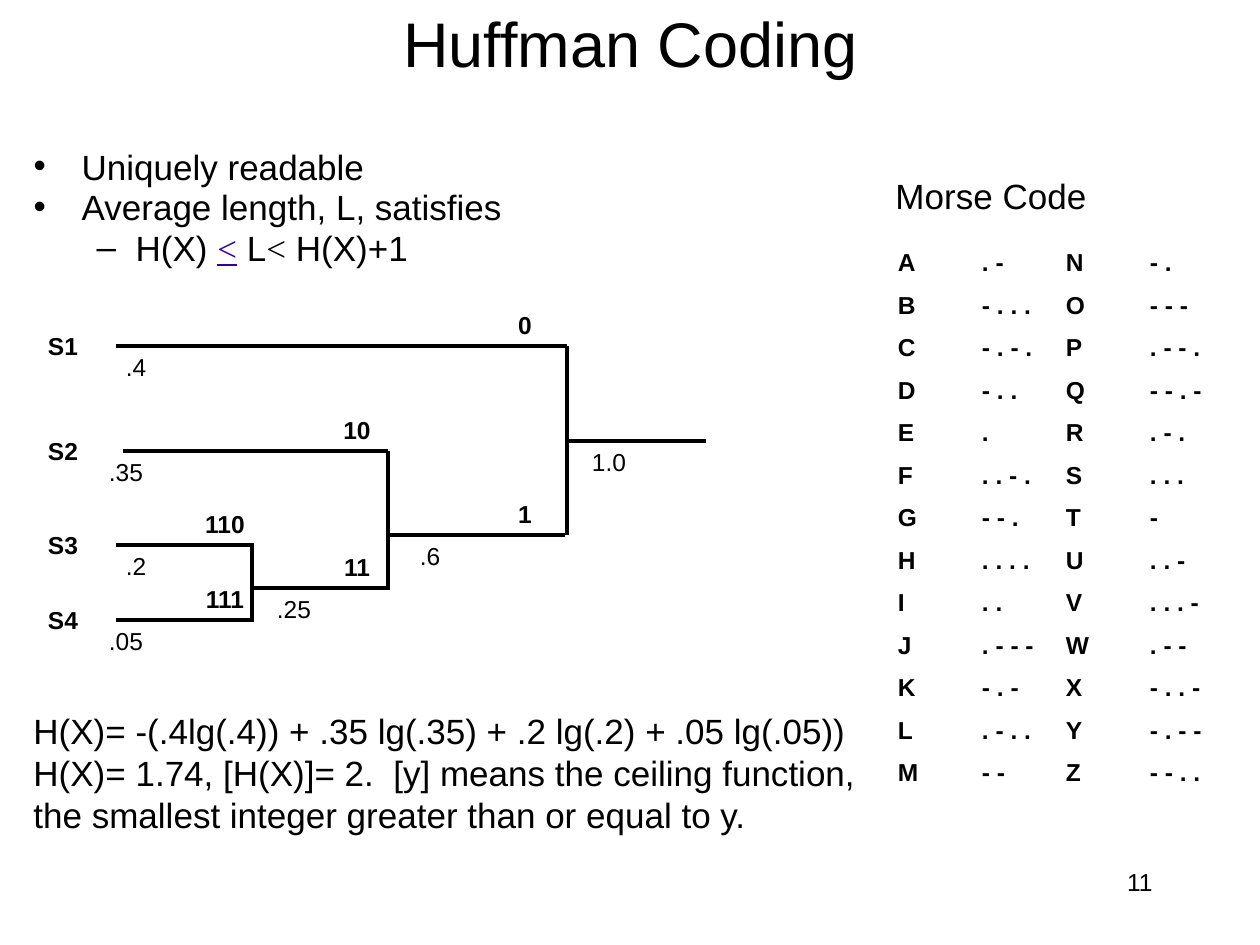
import pptx
import pptx.util
import pptx.dml.color
import pptx.enum.text
import pptx.enum.shapes
import pptx.oxml.ns
import lxml.etree

TITLE = "Huffman Coding"
ENTROPY = [
    "H(X)= -(.4lg(.4)) + .35 lg(.35) + .2 lg(.2) + .05 lg(.05))",
    "H(X)= 1.74, [H(X)]= 2.  [y] means the ceiling function, "
    "the smallest integer greater than or equal to y.",
]
POINTS = [
    (0, ["Uniquely readable"]),
    (0, ["Average length, L, satisfies"]),
    (1, ["H(X) ", ("<", {"face": "Times New Roman", "color": "link", "underline": True}),
         " L", ("<", {"face": "Times New Roman"}), " H(X)+1"]),
]
BULLETS = [("•", 48, -48), ("–", 102, -39)]
MORSE = [
    ("A", ". -"), ("B", "- . . ."), ("C", "- . - ."), ("D", "- . ."), ("E", "."),
    ("F", ". . - ."), ("G", "- - ."), ("H", ". . . ."), ("I", ". ."), ("J", ". - - -"),
    ("K", "- . -"), ("L", ". - . ."), ("M", "- -"), ("N", "- ."), ("O", "- - -"),
    ("P", ". - - ."), ("Q", "- - . -"), ("R", ". - ."), ("S", ". . ."), ("T", "-"),
    ("U", ". . -"), ("V", ". . . -"), ("W", ". - -"), ("X", "- . . -"),
    ("Y", "- . - -"), ("Z", "- - . ."),
]
SOURCES = [("S1", 346), ("S2", 451), ("S3", 545), ("S4", 620)]
BRANCHES = [
    (116, 567, 346), (123, 388, 451), (116, 254, 545), (116, 254, 620),
    (252, 390, 588), (388, 565, 535), (567, 706, 441),
]
JOINS = [(252, 545, 620), (388, 451, 589), (567, 346, 535)]
CODES = [("0", 525, 346), ("10", 357, 451), ("110", 225, 545), ("111", 225, 620),
         ("11", 357, 588), ("1", 525, 535)]
PROBABILITIES = [(".4", 136, 346), (".35", 126, 451), (".2", 136, 545), (".05", 126, 620),
                 (".25", 294, 588), (".6", 430, 535), ("1.0", 609, 441)]
COLORS = {"ink": "000000", "link": "330099"}
ALIGN = pptx.enum.text.PP_ALIGN
ANCHOR = pptx.enum.text.MSO_ANCHOR


def px(count):
    return round(count * 914400 / 126)


def rgb(name):
    return pptx.dml.color.RGBColor.from_string(COLORS[name])


def write(paragraph, text, size=14, face="Arial", color="ink", bold=False,
          underline=False, align=None):
    run = paragraph.add_run()
    run.text = text
    run.font.size = pptx.util.Pt(size)
    run.font.name = face
    run.font.bold = bold
    run.font.underline = underline
    run.font.color.rgb = rgb(color)
    if align is not None:
        paragraph.alignment = align


def place(shape, left, top, width, height):
    shape.left, shape.top, shape.width, shape.height = map(px, (left, top, width, height))


def label(slide, lines, left, top, width, height, wrap=True, **style):
    frame = slide.shapes.add_textbox(*map(px, (left, top, width, height))).text_frame
    frame.word_wrap = wrap
    for index, line in enumerate(lines):
        write(frame.add_paragraph() if index else frame.paragraphs[0], line, **style)


def tree_label(slide, text, center, top, bold):
    label(slide, [text], center - 36, top, 72, 43, bold=bold, align=ALIGN.CENTER)


def stroke(slide, x1, y1, x2, y2):
    line = slide.shapes.add_connector(
        pptx.enum.shapes.MSO_CONNECTOR.STRAIGHT, *map(px, (x1, y1, x2, y2)))
    line.line.color.rgb = rgb("ink")
    line.line.width = pptx.util.Pt(2)
    lxml.etree.SubElement(line._element.spPr, pptx.oxml.ns.qn("a:effectLst"))


def add_points(body):
    place(body, 21, 147, 1197, 693)
    frame = body.text_frame
    frame.auto_size = pptx.enum.text.MSO_AUTO_SIZE.NONE
    for index, (level, parts) in enumerate(POINTS):
        paragraph = frame.add_paragraph() if index else frame.paragraphs[0]
        paragraph.level = level
        mark, margin, indent = BULLETS[level]
        properties = paragraph._p.get_or_add_pPr()
        properties.set("marL", str(px(margin)))
        properties.set("indent", str(px(indent)))
        bullet = lxml.etree.SubElement(properties, pptx.oxml.ns.qn("a:buChar"))
        bullet.set("char", mark)
        paragraph.line_spacing = 0.8
        paragraph.space_before = pptx.util.Pt(4 if index else 0)
        for part in parts:
            text, style = (part, {}) if isinstance(part, str) else part
            write(paragraph, text, size=20, **style)


def add_tree(slide):
    for x1, x2, y in BRANCHES:
        stroke(slide, x1, y, x2, y)
    for x, y1, y2 in JOINS:
        stroke(slide, x, y1, x, y2)
    for name, y in SOURCES:
        tree_label(slide, name, 63, y - 21, True)
    for code, center, y in CODES:
        tree_label(slide, code, center, y - 42, True)
    for probability, center, y in PROBABILITIES:
        tree_label(slide, probability, center, y, False)


def add_morse(slide):
    half = len(MORSE) // 2
    table = slide.shapes.add_table(half, 4, *map(px, (892, 242, 336, 553))).table
    table.first_row = table.horz_banding = False
    for row, (first, second) in enumerate(zip(MORSE[:half], MORSE[half:])):
        table.rows[row].height = px(553) // half
        for column, text in enumerate(first + second):
            cell = table.cell(row, column)
            cell.fill.background()
            cell.vertical_anchor = ANCHOR.MIDDLE
            cell.margin_left = cell.margin_right = px(6)
            cell.margin_top = cell.margin_bottom = px(6)
            write(cell.text_frame.paragraphs[0], text, bold=True)


def main():
    deck = pptx.Presentation()
    deck.slide_width, deck.slide_height = px(1260), px(945)
    slide = deck.slides.add_slide(deck.slide_layouts[1])
    title, body = slide.placeholders
    place(title, 95, 0, 1071, 84)
    title.text_frame.vertical_anchor = ANCHOR.MIDDLE
    title.text_frame.auto_size = pptx.enum.text.MSO_AUTO_SIZE.NONE
    write(title.text_frame.paragraphs[0], TITLE, size=36, align=ALIGN.CENTER)
    add_points(body)
    add_tree(slide)
    add_morse(slide)
    label(slide, ["Morse Code"], 882, 168, 218, 55, wrap=False, size=20, align=ALIGN.CENTER)
    label(slide, ENTROPY, 21, 703, 850, 140, size=20)
    label(slide, ["11"], 903, 861, 262, 63, align=ALIGN.RIGHT)
    deck.save("out.pptx")


if __name__ == "__main__":
    main()
